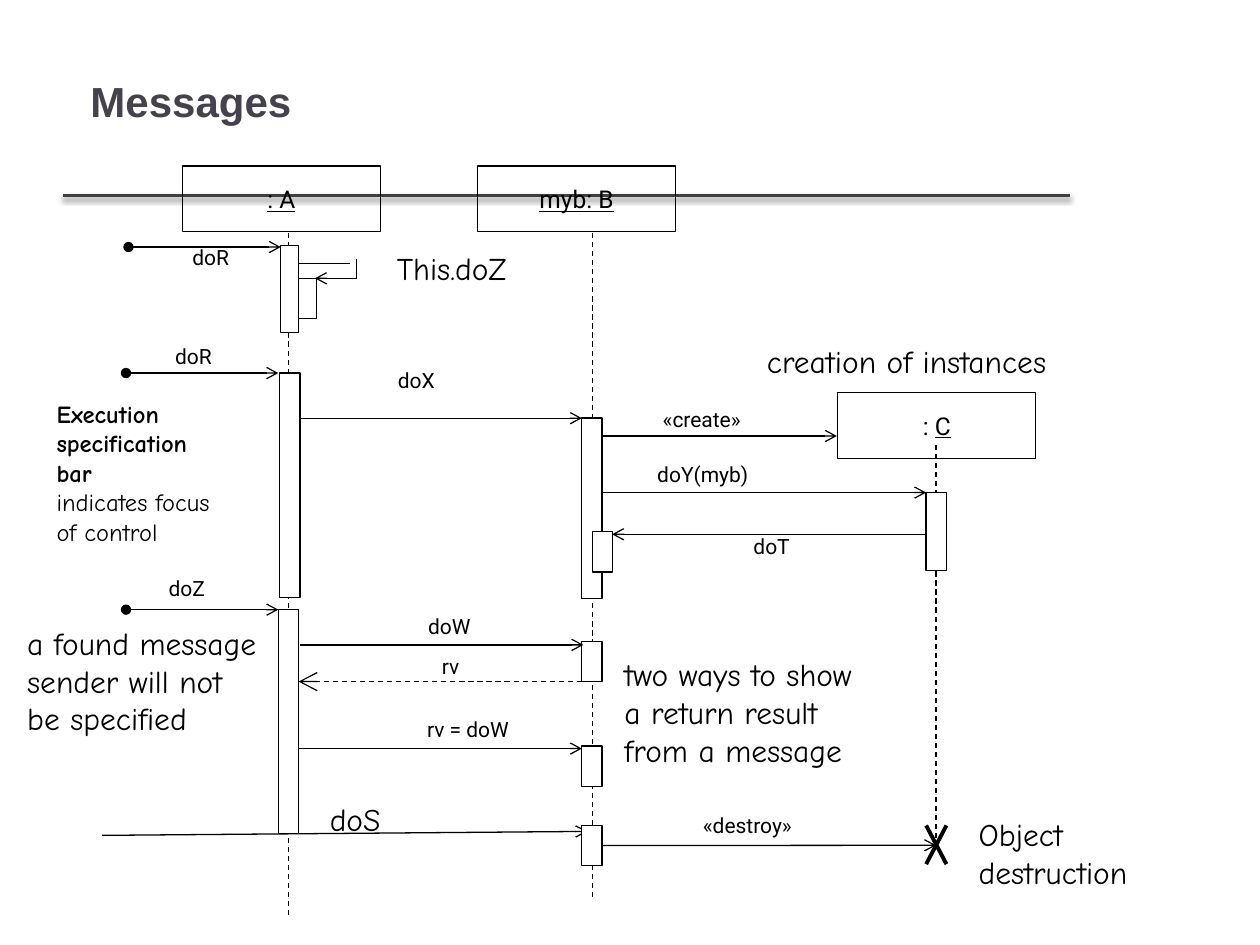
from lxml.etree import SubElement
from pptx import Presentation
from pptx.dml.color import RGBColor
from pptx.enum.dml import MSO_LINE
from pptx.enum.shapes import MSO_CONNECTOR, MSO_SHAPE
from pptx.enum.text import MSO_ANCHOR, MSO_AUTO_SIZE, PP_ALIGN
from pptx.oxml.ns import qn
from pptx.util import Cm, Pt

COLORS = {"ink": "000000", "bar": "FFFFFF", "title": "46424D", "rule": "404040"}
TITLE = {"name": "Arial", "size": Pt(24), "bold": True}
HEAD = {"name": "Roboto", "size": Pt(14)}
LABEL = {"name": "Roboto", "size": Pt(12)}
NOTE = {"name": "Comic Neue", "size": Pt(18)}
SMALL_NOTE = {"name": "Comic Neue", "size": Pt(14)}
UNDERLINE, BOLD = {"underline": True}, {"bold": True}

BAR_WIDTH, SHORT_BAR, LONG_BAR = 0.41, 0.81, 4.52

# Object boxes: left, top, runs
HEADS = [
    (3.68, 3.35, [(": A", UNDERLINE)]),
    (9.63, 3.35, [("myb: B", UNDERLINE)]),
    (16.89, 7.92, [(": ", {}), ("C", UNDERLINE)]),
]
# Lifelines: x, top, bottom
LIFELINES = [(5.82, 4.7, 18.47), (11.94, 4.7, 18.08), (18.87, 8.97, 17.02)]
# Execution bars: left, top, width, height
BARS = [
    (5.97, 5.61, BAR_WIDTH, SHORT_BAR),
    (5.66, 4.95, 0.36, 1.75),
    (5.64, 7.52, BAR_WIDTH, LONG_BAR),
    (5.61, 12.29, BAR_WIDTH, LONG_BAR),
    (11.73, 8.43, BAR_WIDTH, 3.63),
    (11.94, 10.72, BAR_WIDTH, SHORT_BAR),
    (11.73, 12.93, BAR_WIDTH, SHORT_BAR),
    (11.73, 15.04, BAR_WIDTH, SHORT_BAR),
    (18.67, 9.93, BAR_WIDTH, 1.57),
]
DESTROYER_BAR = (11.73, 16.64, BAR_WIDTH, SHORT_BAR)
# Level messages: start x, end x, y
FOUND_MESSAGES = [(2.59, 5.66, 4.98), (2.54, 5.61, 7.52), (2.54, 5.61, 12.29)]
MESSAGES = [
    (6.02, 11.73, 8.43),
    (12.14, 16.87, 8.79),
    (12.14, 18.67, 9.93),
    (18.67, 12.34, 10.77),
    (6.05, 11.76, 13),
    (6.02, 11.73, 15.09),
    (7.19, 6.35, 5.61),
]
# Message labels: left, top, width, text
LABELS = [
    (3.63, 4.8, 1.3, "doR"),
    (3.28, 6.81, 1.3, "doR"),
    (7.77, 7.29, 1.27, "doX"),
    (13.11, 8.08, 2.16, "«create»"),
    (13, 9.17, 2.36, "doY(myb)"),
    (14.94, 10.64, 1.24, "doT"),
    (3.15, 11.48, 1.24, "doZ"),
    (8.38, 12.24, 1.37, "doW"),
    (8.66, 13.06, 0.86, "rv"),
    (8.36, 14.33, 2.21, "rv = doW"),
    (13.92, 16.26, 2.36, "«destroy»"),
]
# Notes: left, top, width, height, lines
NOTES = [
    (7.75, 4.9, 3.12, 1.02, ["This.doZ"]),
    (15.21, 6.78, 6.76, 1.02, ["creation of instances"]),
    (0.3, 12.45, 5.38, 2.54, ["a found message", "sender will not", "be specified"]),
    (12.34, 13.08, 5.64, 2.54, ["two ways to show", "a return result", "from a message"]),
    (6.4, 16, 5.16, 1.02, ["doS"]),
    (19.48, 16.31, 3.94, 1.78, ["Object", "destruction"]),
]
BAR_NOTE = [("Execution", BOLD), ("specification", BOLD), ("bar", BOLD),
            ("indicates focus", {}), ("of control", {})]


def color(name):
    return RGBColor.from_string(COLORS[name])


def add_run(paragraph, text, formats, ink="ink"):
    run = paragraph.add_run()
    run.text = text
    for name, value in formats.items():
        setattr(run.font, name, value)
    run.font.color.rgb = color(ink)


def add_title(slide, text):
    title = slide.shapes.title
    box = {"left": Cm(1.57), "top": Cm(0.13), "width": Cm(22.86), "height": Cm(3.81)}
    for name, value in box.items():
        setattr(title, name, value)
    title.text_frame.vertical_anchor = MSO_ANCHOR.MIDDLE
    paragraph = title.text_frame.paragraphs[0]
    paragraph.alignment = PP_ALIGN.LEFT
    add_run(paragraph, text, TITLE, "title")


def add_box(slide, left, top, width, height, fill=None):
    shape = slide.shapes.add_shape(
        MSO_SHAPE.RECTANGLE, Cm(left), Cm(top), Cm(width), Cm(height))
    shape.shadow.inherit = False
    if fill:
        shape.fill.solid()
        shape.fill.fore_color.rgb = color(fill)
    else:
        shape.fill.background()
    shape.line.color.rgb = color("ink")
    shape.line.width = Pt(0.75)
    return shape


def add_head(slide, left, top, runs):
    frame = add_box(slide, left, top, 3.99, 1.32).text_frame
    frame.word_wrap = False
    frame.vertical_anchor = MSO_ANCHOR.MIDDLE
    paragraph = frame.paragraphs[0]
    paragraph.alignment = PP_ALIGN.CENTER
    for text, extra in runs:
        add_run(paragraph, text, HEAD | extra)


def add_line(slide, start, end, ink="ink", width=0.75, dashed=False,
             head=None, tail=None, tip="med"):
    connector = slide.shapes.add_connector(
        MSO_CONNECTOR.STRAIGHT, *(Cm(value) for value in start + end))
    connector.line.color.rgb = color(ink)
    connector.line.width = Pt(width)
    if dashed:
        connector.line.dash_style = MSO_LINE.DASH
    outline = connector.line._get_or_add_ln()
    for tag, kind in (("a:headEnd", head), ("a:tailEnd", tail)):
        if kind:
            SubElement(outline, qn(tag), type=kind, w=tip, len=tip)
    SubElement(connector._element.spPr, qn("a:effectLst"))
    return connector


def add_rule(slide):
    rule = add_line(slide, (1.27, 3.94), (21.56, 3.94), "rule", 2)
    effects = rule._element.spPr.find(qn("a:effectLst"))
    shadow = SubElement(effects, qn("a:outerShdw"), blurRad=str(Pt(3.1)),
                        dist=str(Pt(1.6)), dir="5400000", rotWithShape="0")
    shade = SubElement(shadow, qn("a:srgbClr"), val=COLORS["ink"])
    SubElement(shade, qn("a:alpha"), val="38000")


def add_text(slide, left, top, width, height, lines, formats, wrap=False):
    frame = slide.shapes.add_textbox(
        Cm(left), Cm(top), Cm(width), Cm(height)).text_frame
    frame.word_wrap = wrap
    frame.auto_size = MSO_AUTO_SIZE.SHAPE_TO_FIT_TEXT
    for index, (text, extra) in enumerate(lines):
        paragraph = frame.add_paragraph() if index else frame.paragraphs[0]
        add_run(paragraph, text, formats | extra)


def main():
    presentation = Presentation()
    presentation.slide_width, presentation.slide_height = Cm(25.4), Cm(19.05)
    slide = presentation.slides.add_slide(presentation.slide_layouts[5])
    add_rule(slide)
    add_title(slide, "Messages")

    # Objects and their lifelines
    for head in HEADS:
        add_head(slide, *head)
    for x, top, bottom in LIFELINES:
        add_line(slide, (x, top), (x, bottom), dashed=True)

    # doS runs behind the bars
    add_line(slide, (2.06, 16.84), (11.84, 16.76), tail="arrow")
    for bar in BARS:
        add_box(slide, *bar, fill="bar")
    destroyer = add_box(slide, *DESTROYER_BAR, fill="bar")

    # Messages
    for start, end, y in FOUND_MESSAGES:
        add_line(slide, (start, y), (end, y), head="oval", tail="arrow")
    for start, end, y in MESSAGES:
        add_line(slide, (start, y), (end, y), tail="arrow")
    add_line(slide, (11.73, 13.74), (6.02, 13.74), dashed=True, tail="arrow", tip="lg")
    add_line(slide, (6.02, 5.31), (7.06, 5.31))
    add_line(slide, (7.19, 5.23), (7.19, 5.61))

    # Destruction of C
    destroy = add_line(slide, (12.14, 17.04), (18.87, 17.04), tail="arrow")
    destroy.begin_connect(destroyer, 3)
    for start, end in ((18.67, 19.08), (19.08, 18.67)):
        add_line(slide, (start, 16.64), (end, 17.42), width=2.25)

    # Labels and notes
    for left, top, width, text in LABELS:
        add_text(slide, left, top, width, 0.76, [(text, {})], LABEL)
    for *box, lines in NOTES:
        add_text(slide, *box, [(line, {}) for line in lines], NOTE)
    add_text(slide, 0.89, 7.92, 4.62, 3.25, BAR_NOTE, SMALL_NOTE, wrap=True)

    presentation.save("out.pptx")


if __name__ == "__main__":
    main()
